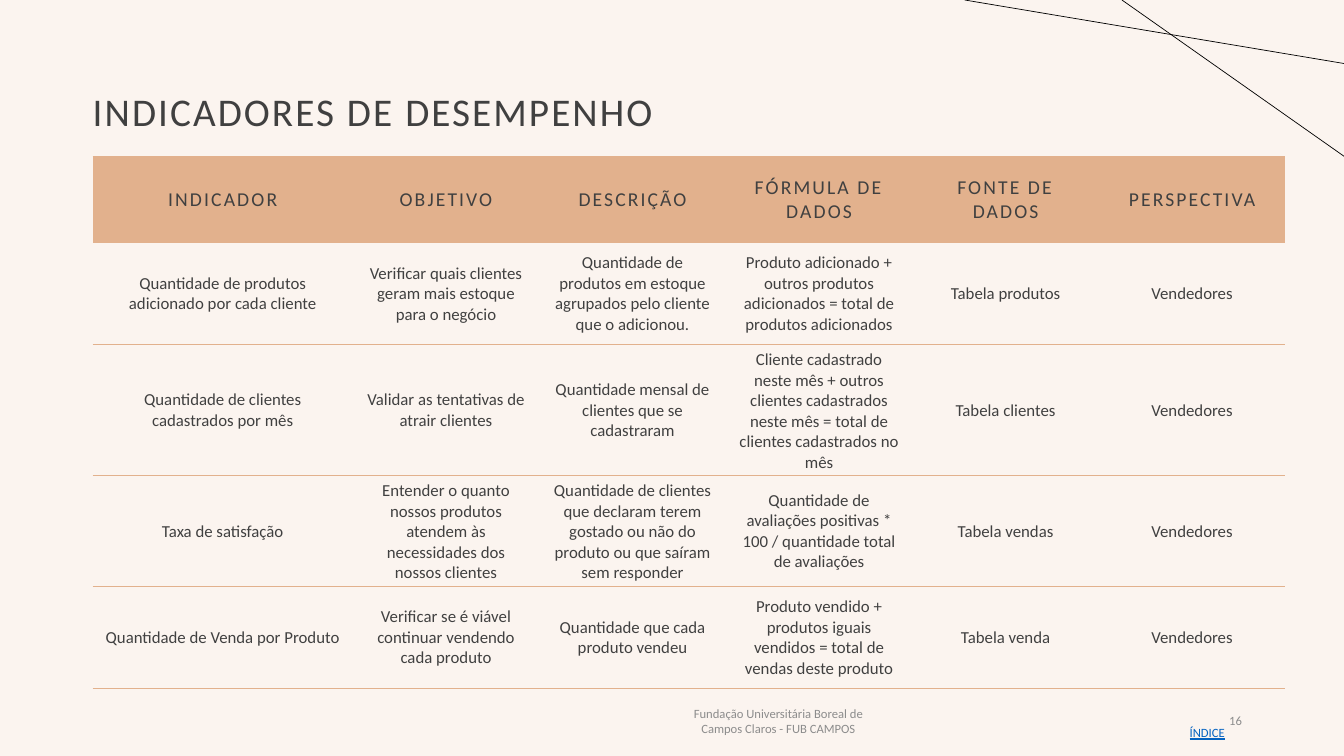
from lxml import etree
from pptx import Presentation
from pptx.dml.color import RGBColor
from pptx.enum.shapes import MSO_CONNECTOR
from pptx.enum.text import MSO_ANCHOR, PP_ALIGN
from pptx.oxml import parse_xml
from pptx.oxml.ns import nsdecls, qn
from pptx.util import Inches, Pt

LEFT, CENTER, RIGHT = PP_ALIGN.LEFT, PP_ALIGN.CENTER, PP_ALIGN.RIGHT
MIDDLE = MSO_ANCHOR.MIDDLE
STRAIGHT = MSO_CONNECTOR.STRAIGHT
NO_STYLE_NO_GRID = "{2D5ABB26-0587-4C30-8999-92F81FD0307C}"

COLORS = {
    "background": "FBF4EF",
    "accent": "E2B18D",
    "text": "404040",
    "muted": "8C8C8C",
    "link": "0563C1",
    "line": "000000",
}

HEADERS = ["INDICADOR", "OBJETIVO", "DESCRIÇÃO", "FÓRMULA DE DADOS",
           "FONTE DE DADOS", "PERSPECTIVA"]
INDICATORS = [
    ["Quantidade de produtos adicionado por cada cliente",
     "Verificar quais clientes geram mais estoque para o negócio",
     "Quantidade de produtos em estoque agrupados pelo cliente que o adicionou.",
     "Produto adicionado + outros produtos adicionados = total de produtos adicionados",
     "Tabela produtos", "Vendedores"],
    ["Quantidade de clientes cadastrados por mês",
     "Validar as tentativas de atrair clientes",
     "Quantidade mensal de clientes que se cadastraram",
     "Cliente cadastrado neste mês + outros clientes cadastrados neste mês"
     " = total de clientes cadastrados no mês",
     "Tabela clientes", "Vendedores"],
    ["Taxa de satisfação",
     "Entender o quanto nossos produtos atendem às necessidades dos nossos clientes",
     "Quantidade de clientes que declaram terem gostado ou não do produto"
     " ou que saíram sem responder",
     "Quantidade de avaliações positivas * 100 / quantidade total de avaliações",
     "Tabela vendas", "Vendedores"],
    ["Quantidade de Venda por Produto",
     "Verificar se é viável continuar vendendo cada produto",
     "Quantidade que cada produto vendeu",
     "Produto vendido + produtos iguais vendidos = total de vendas deste produto",
     "Tabela venda", "Vendedores"],
]


def rgb(name):
    return RGBColor.from_string(COLORS[name])


def write(tf, text, size=12, color="text", align=LEFT, spacing=0,
          line_spacing=None, underline=None):
    p = tf.paragraphs[0]
    p.alignment = align
    p.line_spacing = line_spacing
    r = p.add_run()
    r.text = text
    r.font.name = "Calibri"
    r.font.size = Pt(size)
    r.font.color.rgb = rgb(color)
    r.font.underline = underline
    if spacing:
        r.font._element.set("spc", str(int(spacing * 100)))


class SlideBuilder:
    """Draws on one slide; lengths are percentages of its width and height."""

    def __init__(self, prs):
        self.width, self.height = prs.slide_width, prs.slide_height
        self.slide = prs.slides.add_slide(prs.slide_layouts[6])
        fill = self.slide.background.fill
        fill.solid()
        fill.fore_color.rgb = rgb("background")

    def x(self, share):
        return int(self.width * share / 100)

    def y(self, share):
        return int(self.height * share / 100)

    def box(self, left, top, width, height):
        return self.x(left), self.y(top), self.x(width), self.y(height)

    def text(self, box, text, margin_left=0.1, **fmt):
        tf = self.slide.shapes.add_textbox(*self.box(*box)).text_frame
        tf.word_wrap = True
        tf.vertical_anchor = MIDDLE
        tf.margin_left = Inches(margin_left)
        write(tf, text, **fmt)

    def line(self, x1, y1, x2, y2):
        sp = self.slide.shapes.add_connector(
            STRAIGHT, self.x(x1), self.y(y1), self.x(x2), self.y(y2))
        sp.line.color.rgb = rgb("line")
        sp.line.width = Pt(0.5)
        etree.SubElement(sp._element.spPr, qn("a:effectLst"))

    def cell_border(self, cell, side):
        cell._tc.get_or_add_tcPr().insert(0, parse_xml(
            f'<a:{side} {nsdecls("a")} w="{Pt(1)}"><a:solidFill>'
            f'<a:srgbClr val="{COLORS["accent"]}"/></a:solidFill></a:{side}>'))

    def table(self, left, top, col_widths, row_heights, rows):
        box = self.box(left, top, sum(col_widths), sum(row_heights))
        table = self.slide.shapes.add_table(len(rows), len(col_widths), *box).table
        table.first_row = table.horz_banding = False
        table._tbl.tblPr.find(qn("a:tableStyleId")).text = NO_STYLE_NO_GRID
        for column, width in zip(table.columns, col_widths):
            column.width = self.x(width)
        for i, (row, height) in enumerate(zip(table.rows, row_heights)):
            row.height = self.y(height)
            for cell, text in zip(row.cells, rows[i]):
                cell.vertical_anchor = MIDDLE
                if i == 0:
                    cell.fill.solid()
                    cell.fill.fore_color.rgb = rgb("accent")
                    self.cell_border(cell, "lnT")
                    write(cell.text_frame, text, size=14, align=CENTER, spacing=1.5)
                else:
                    cell.fill.background()
                    self.cell_border(cell, "lnB")
                    write(cell.text_frame, text, align=CENTER)


def main():
    prs = Presentation()
    prs.slide_width, prs.slide_height = Inches(13.33), Inches(7.5)
    s = SlideBuilder(prs)
    s.text((6.9, 5.33, 86.25, 19.33), "INDICADORES DE DESEMPENHO",
           margin_left=0, size=28, spacing=1.5, line_spacing=0.9)
    s.table(6.9, 20.67, [19.35] + [13.88] * 5, [11.47] + [13.47] * 4,
            [HEADERS] + INDICATORS)
    s.line(83.48, 0, 100, 20.67)
    s.line(71.78, 0, 100, 8.4)
    s.text((50.48, 92.67, 14.85, 5.33),
           "Fundação Universitária Boreal de Campos Claros - FUB CAMPOS",
           size=9, color="muted", align=CENTER)
    s.text((79.65, 94.27, 20.35, 5.33), "ÍNDICE",
           size=9, color="link", align=CENTER, underline=True)
    s.text((70.65, 92.67, 22.5, 5.33), "16", size=9, color="muted", align=RIGHT)
    prs.save("out.pptx")


if __name__ == "__main__":
    main()
